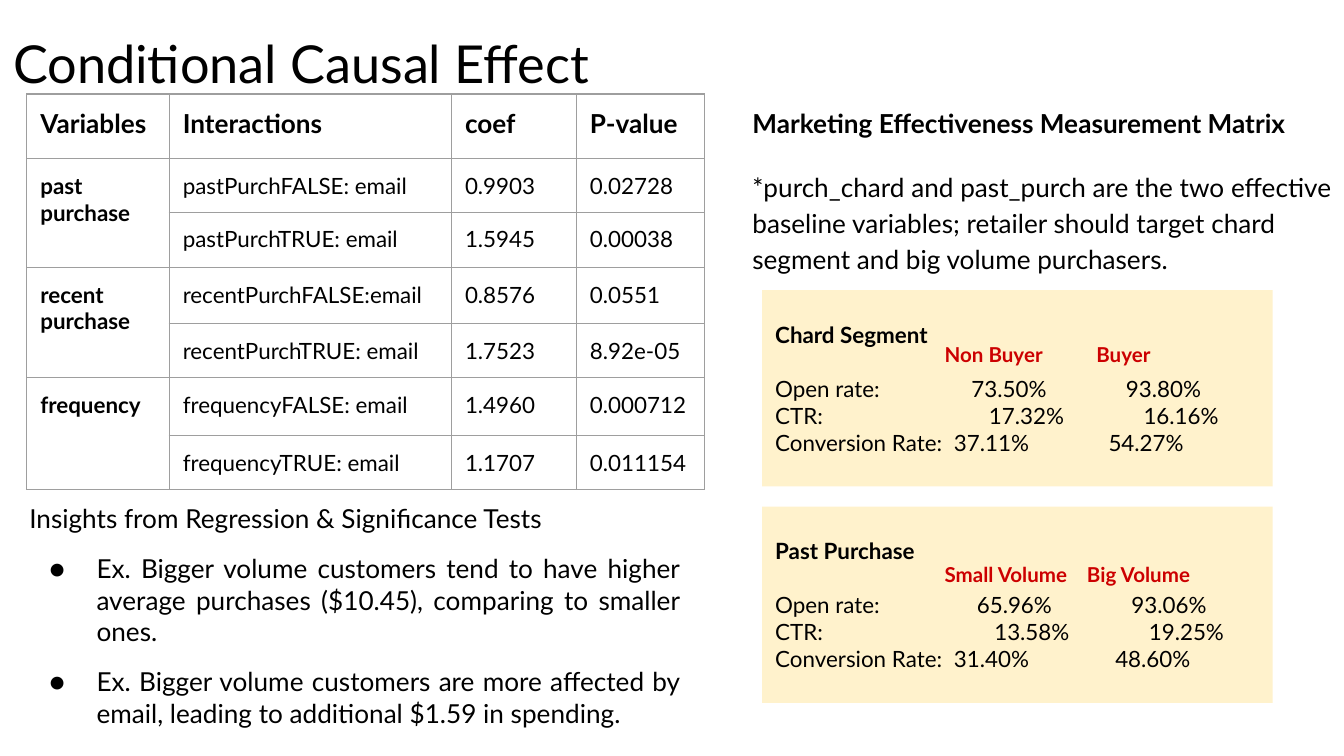
from dataclasses import dataclass

from lxml.etree import SubElement
from pptx import Presentation
from pptx.dml.color import RGBColor
from pptx.enum.shapes import MSO_SHAPE
from pptx.enum.text import MSO_ANCHOR, PP_ALIGN
from pptx.oxml.ns import qn
from pptx.util import Inches, Pt

BLACK = RGBColor(0x00, 0x00, 0x00)
RED = RGBColor(0xCC, 0x00, 0x00)
CREAM = RGBColor(0xFF, 0xF2, 0xCC)
GRID_GRAY = RGBColor(0x9E, 0x9E, 0x9E)
FONT = "Lato"
PADDING = Inches(0.1)


@dataclass
class Metric:
    """One row of a segment card; stops are tab positions in inches."""
    label: str
    values: tuple[str, str]
    stops: tuple[float, float]


@dataclass
class SegmentCard:
    title: str
    top: float
    groups: tuple[str, str]
    groups_top: float
    group_stop: float
    metrics: list[Metric]


HEADINGS = ["Variables", "Interactions", "coef", "P-value"]
EFFECTS = {
    "past purchase": [("pastPurchFALSE: email", "0.9903", "0.02728"),
                      ("pastPurchTRUE: email", "1.5945", "0.00038")],
    "recent purchase": [("recentPurchFALSE:email", "0.8576", "0.0551"),
                        ("recentPurchTRUE: email", "1.7523", "8.92e-05")],
    "frequency": [("frequencyFALSE: email", "1.4960", "0.000712"),
                  ("frequencyTRUE: email", "1.1707", "0.011154")],
}
COLUMN_WIDTHS = [1.06, 2.1, 0.93, 0.95]
ROW_HEIGHTS = [0.48, 0.4, 0.41, 0.42, 0.4, 0.43, 0.4]

CARDS = [
    SegmentCard("Chard Segment", 2.16, ("Non Buyer", "Buyer"), 2.45, 1.13, [
        Metric("Open rate:", ("73.50%", "93.80%"), (1.46, 2.61)),
        Metric("CTR:", ("17.32%", "16.16%"), (1.59, 2.74)),
        Metric("Conversion Rate:", ("37.11%", "54.27%"), (1.33, 2.48)),
    ]),
    SegmentCard("Past Purchase", 3.77, ("Small Volume", "Big Volume"), 4.09, 1.06, [
        Metric("Open rate:", ("65.96%", "93.06%"), (1.5, 2.65)),
        Metric("CTR:", ("13.58%", "19.25%"), (1.63, 2.78)),
        Metric("Conversion Rate:", ("31.40%", "48.60%"), (1.33, 2.53)),
    ]),
]
INSIGHTS = [
    "Ex. Bigger volume customers tend to have higher average purchases ($10.45), "
    "comparing to smaller ones.",
    "Ex. Bigger volume customers are more affected by email, leading to additional "
    "$1.59 in spending.",
]


def write(frame, text: str, *, size=14, bold=False, color=BLACK, align=PP_ALIGN.LEFT,
          before=0, line_spacing=None, bullet=False, stops=()) -> None:
    """Write text in the empty first paragraph, or in a new one after it."""
    para = frame.paragraphs[0]
    if para.runs:
        para = frame.add_paragraph()
    para.alignment = align
    para.space_before = Pt(before)
    if line_spacing:
        para.line_spacing = line_spacing
    properties = para._p.get_or_add_pPr()
    if bullet:
        properties.set("marL", str(Inches(0.5)))
        properties.set("indent", str(Inches(-0.35)))
        bullet_color = SubElement(properties, qn("a:buClr"))
        SubElement(bullet_color, qn("a:srgbClr"), val=str(BLACK))
        SubElement(properties, qn("a:buFont"), typeface=FONT)
        SubElement(properties, qn("a:buChar"), char="●")
    if stops:
        tabs = SubElement(properties, qn("a:tabLst"))
        for stop in stops:
            SubElement(tabs, qn("a:tab"), pos=str(Inches(stop)), algn="l")
    span = para.add_run()
    span.text = text
    span.font.name = FONT
    span.font.size = Pt(size)
    span.font.bold = bold
    span.font.color.rgb = color


def pad(frame) -> None:
    frame.word_wrap = True
    frame.margin_left = frame.margin_right = PADDING
    frame.margin_top = frame.margin_bottom = PADDING


def add_text_frame(page, left: float, top: float, width: float, height: float):
    box = page.shapes.add_textbox(Inches(left), Inches(top), Inches(width), Inches(height))
    pad(box.text_frame)
    return box.text_frame


def fill_cell(cell, text: str, size: int, bold: bool) -> None:
    cell.margin_left = cell.margin_right = PADDING
    cell.margin_top = cell.margin_bottom = PADDING
    properties = cell._tc.get_or_add_tcPr()
    for side in ("lnL", "lnR", "lnT", "lnB"):
        border = SubElement(properties, qn(f"a:{side}"), w=str(Pt(0.75)))
        solid = SubElement(border, qn("a:solidFill"))
        SubElement(solid, qn("a:srgbClr"), val=str(GRID_GRAY))
    cell.fill.background()
    if text:
        write(cell.text_frame, text, size=size, bold=bold)


def add_effects_table(page) -> None:
    table = page.shapes.add_table(
        len(ROW_HEIGHTS), len(COLUMN_WIDTHS), Inches(0.2), Inches(0.7),
        Inches(sum(COLUMN_WIDTHS)), Inches(sum(ROW_HEIGHTS))).table
    table.first_row = table.horz_banding = False
    for column, width in zip(table.columns, COLUMN_WIDTHS):
        column.width = Inches(width)
    for row, height in zip(table.rows, ROW_HEIGHTS):
        row.height = Inches(height)

    rows = [HEADINGS]
    for variable, (without, with_it) in EFFECTS.items():
        rows += [(variable, *without), ("", *with_it)]
    for r, values in enumerate(rows):
        for c, value in enumerate(values):
            fill_cell(table.cell(r, c), value, size=12 if r else 14, bold=r == 0 or c == 0)
    for r in range(1, len(rows), 2):
        table.cell(r, 0).merge(table.cell(r + 1, 0))


def add_card(page, card: SegmentCard) -> None:
    panel = page.shapes.add_shape(MSO_SHAPE.RECTANGLE, Inches(5.67), Inches(card.top),
                                  Inches(3.8), Inches(1.46))
    panel.shadow.inherit = False
    panel.fill.solid()
    panel.fill.fore_color.rgb = CREAM
    panel.line.fill.background()
    frame = panel.text_frame
    pad(frame)
    frame.vertical_anchor = MSO_ANCHOR.MIDDLE
    write(frame, card.title, size=12, bold=True)
    for index, metric in enumerate(card.metrics):
        write(frame, "\t".join((metric.label, *metric.values)), size=12,
              before=0 if index else 14.4, stops=metric.stops)

    groups = add_text_frame(page, 6.93, card.groups_top, 2.54, 0.4)
    write(groups, "\t".join(card.groups), size=11, bold=True, color=RED,
          stops=(card.group_stop,))


def main() -> None:
    deck = Presentation()
    deck.slide_width = Inches(10)
    deck.slide_height = deck.slide_width * 9 // 16
    page = deck.slides.add_slide(deck.slide_layouts[6])

    write(add_text_frame(page, 0, 0.13, 10, 0.63), "Conditional Causal Effect", size=28)
    add_effects_table(page)

    insights = add_text_frame(page, 0.12, 3.64, 5.04, 1.51)
    write(insights, "Insights from Regression & Significance Tests", align=PP_ALIGN.JUSTIFY)
    for insight in INSIGHTS:
        write(insights, insight, align=PP_ALIGN.JUSTIFY, before=10, bullet=True)

    write(add_text_frame(page, 5.5, 0.7, 4.55, 0.44),
          "Marketing Effectiveness Measurement Matrix", bold=True)
    write(add_text_frame(page, 5.5, 1.14, 4.67, 0.67),
          "*purch_chard and past_purch are the two effective baseline variables; retailer "
          "should target chard segment and big volume purchasers.", line_spacing=1.15)
    for card in CARDS:
        add_card(page, card)

    deck.save("out.pptx")


if __name__ == "__main__":
    main()
